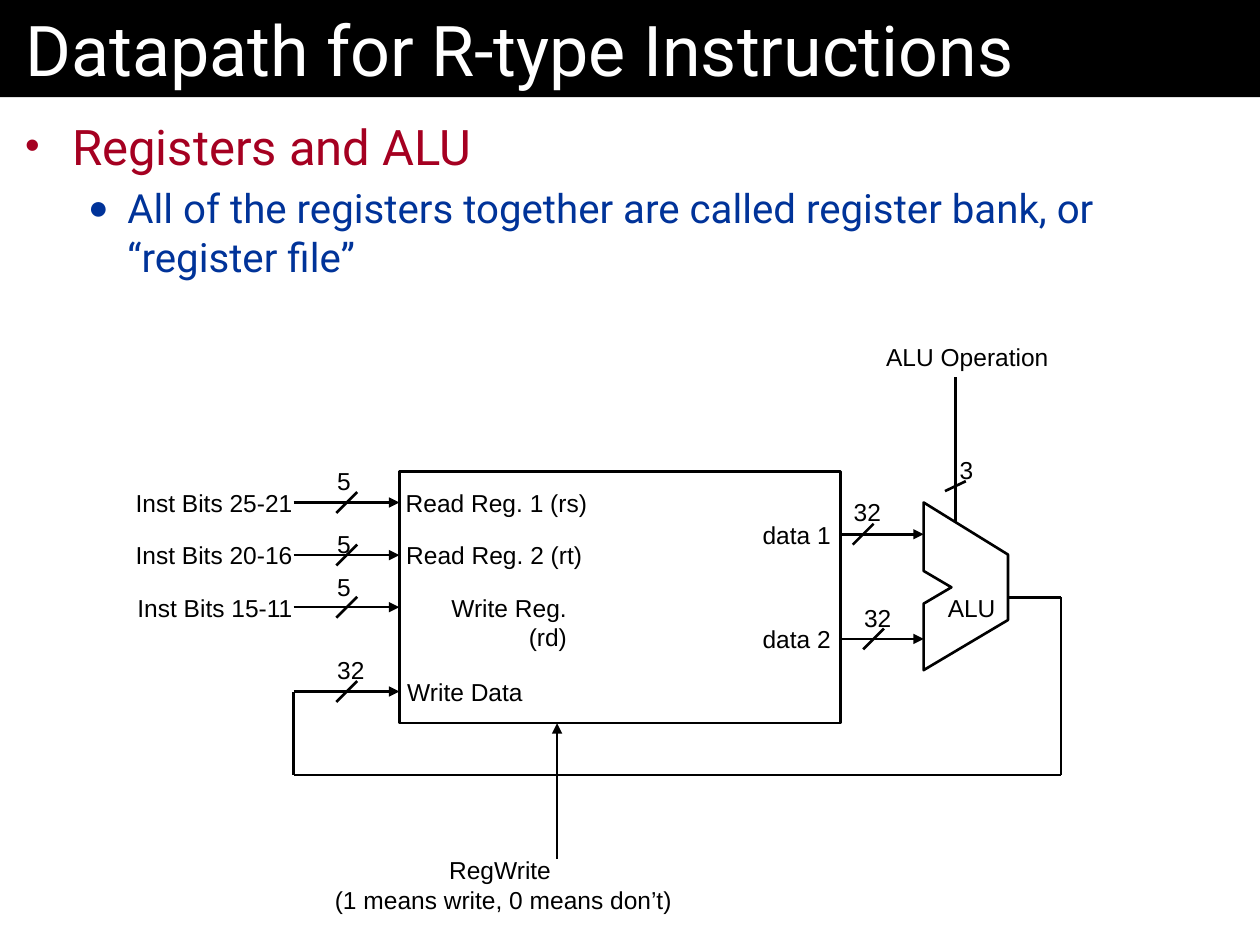
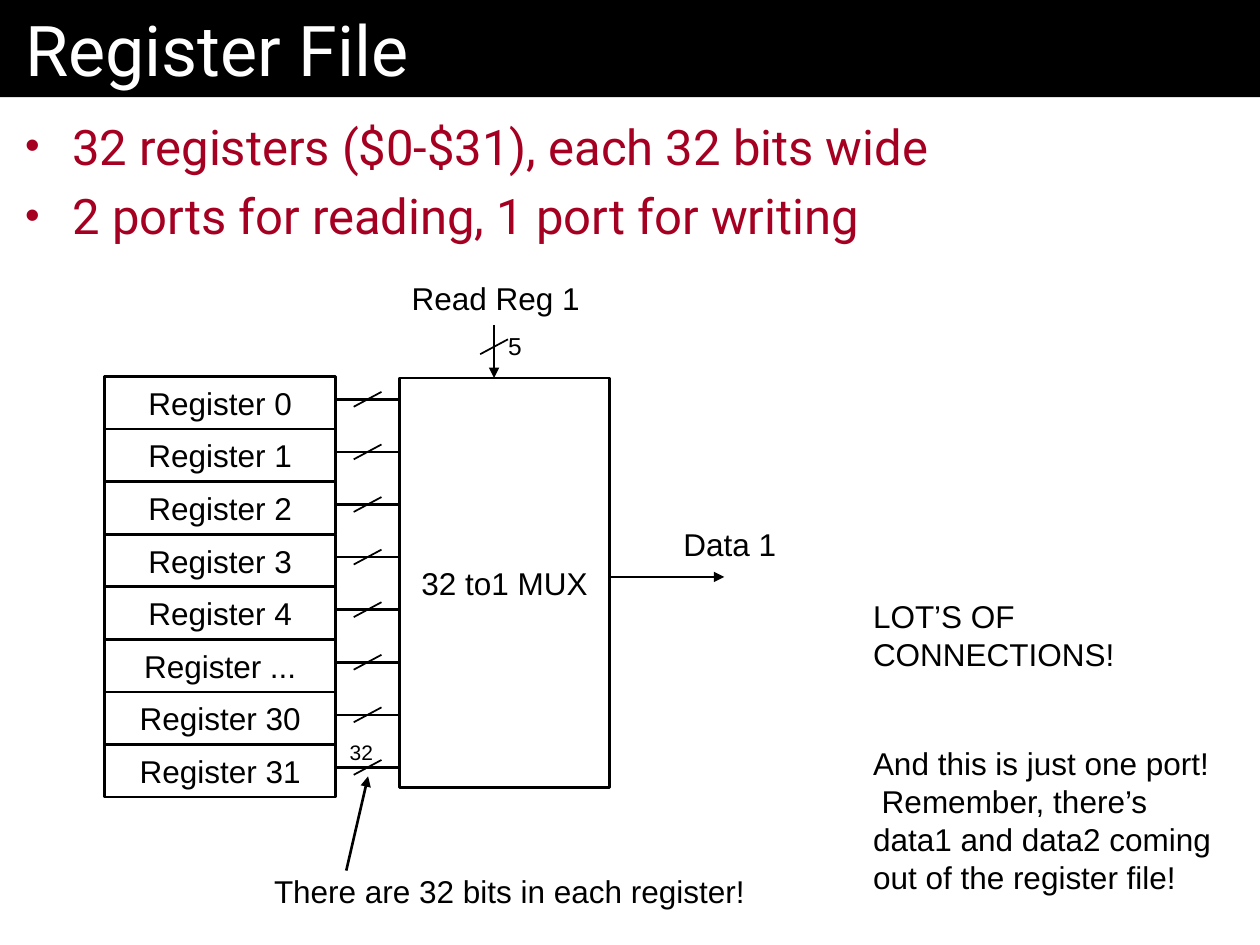
from dataclasses import dataclass

import pptx
import pptx.dml.color
import pptx.enum.shapes
import pptx.enum.text
import pptx.oxml
import pptx.oxml.ns
import pptx.shapes.autoshape
import pptx.shapes.base
import pptx.slide
import pptx.text.text
import pptx.util

Cm = pptx.util.Cm
Pt = pptx.util.Pt
ALIGN = pptx.enum.text.PP_ALIGN
ANCHOR = pptx.enum.text.MSO_ANCHOR


@dataclass(frozen=True)
class Theme:
    ink: str = "000000"
    paper: str = "FFFFFF"
    topic: str = "A50021"
    detail: str = "003399"
    heading_font: str = "Roboto"
    diagram_font: str = "Arial"
    title_size: int = 40
    topic_size: int = 28
    detail_size: int = 23
    large_size: int = 18
    label_size: int = 14
    small_size: int = 12
    line: float = 1.5
    thin_line: float = 1
    bullet_percent: int = 85


@dataclass(frozen=True)
class BulletLevel:
    symbol: str
    color: str
    size: int
    margin: float
    hanging: float
    space: float


@dataclass(frozen=True)
class Label:
    text: str
    left: float
    top: float
    width: float
    size: int


@dataclass(frozen=True)
class InputPort:
    y: float
    name: str
    name_left: float
    name_width: float
    bits: str
    bits_top: float
    bits_width: float
    origin: str = ""


@dataclass(frozen=True)
class OutputPort:
    y: float
    name: str
    slash_x: float
    bits_left: float
    bits_top: float


THEME = Theme()
TOPIC = BulletLevel("•", THEME.topic, THEME.topic_size, 0.95, 0.95, 6)
DETAIL = BulletLevel("●", THEME.detail, THEME.detail_size, 2.06, 0.79, 5)
PAGE_WIDTH, PAGE_HEIGHT, BAND_HEIGHT = 25.4, 19.05, 1.96
LABEL_RISE = 0.42  # from a wire up to the top of its label


def rgb(color: str) -> pptx.dml.color.RGBColor:
    return pptx.dml.color.RGBColor.from_string(color)


def write(paragraph: pptx.text.text._Paragraph, text: str, *, size: int,
          color: str = THEME.ink, font: str = THEME.diagram_font,
          align: ALIGN = ALIGN.LEFT, space: float = 2) -> None:
    paragraph.text = text
    paragraph.alignment = align
    paragraph.space_before = Pt(space)
    for run in paragraph.runs:
        run.font.size = Pt(size)
        run.font.name = font
        run.font.color.rgb = rgb(color)


# Shared slide frame

def add_titled_slide(deck: pptx.presentation.Presentation, heading: str) -> pptx.slide.Slide:
    slide = deck.slides.add_slide(deck.slide_layouts[5])
    band = slide.shapes.title
    band.left, band.top = Cm(0), Cm(0)
    band.width, band.height = Cm(PAGE_WIDTH), Cm(BAND_HEIGHT)
    band.fill.solid()
    band.fill.fore_color.rgb = rgb(THEME.ink)
    frame = band.text_frame
    frame.auto_size = pptx.enum.text.MSO_AUTO_SIZE.NONE
    frame.vertical_anchor = ANCHOR.BOTTOM
    frame.margin_left = frame.margin_right = Cm(0.51)
    frame.margin_top = frame.margin_bottom = Cm(0.13)
    write(frame.paragraphs[0], heading, size=THEME.title_size, color=THEME.paper,
          font=THEME.heading_font, space=0)
    return slide


def add_bullets(slide: pptx.slide.Slide, points: list[tuple[BulletLevel, str]]) -> None:
    body = slide.shapes.add_textbox(Cm(0), Cm(BAND_HEIGHT), Cm(PAGE_WIDTH),
                                    Cm(PAGE_HEIGHT - BAND_HEIGHT))
    frame = body.text_frame
    frame.word_wrap = True
    frame.margin_left = frame.margin_right = Cm(0.51)
    frame.margin_top = frame.margin_bottom = Cm(0.38)
    for index, (level, text) in enumerate(points):
        paragraph = frame.add_paragraph() if index else frame.paragraphs[0]
        write(paragraph, text, size=level.size, color=level.color,
              font=THEME.heading_font, space=level.space if index else 3)
        properties = paragraph._p.get_or_add_pPr()
        properties.set("marL", str(Cm(level.margin)))
        properties.set("indent", str(-Cm(level.hanging)))
        namespace = pptx.oxml.ns.nsdecls("a")
        for xml in (
            f'<a:buClr {namespace}><a:srgbClr val="{level.color}"/></a:buClr>',
            f'<a:buSzPct {namespace} val="{THEME.bullet_percent * 1000}"/>',
            f'<a:buFont {namespace} typeface="{THEME.diagram_font}"/>',
            f'<a:buChar {namespace} char="{level.symbol}"/>',
        ):
            properties.append(pptx.oxml.parse_xml(xml))


# Diagram parts

def outline(shape: pptx.shapes.autoshape.Shape) -> None:
    shape.shadow.inherit = False
    shape.fill.background()
    shape.line.color.rgb = rgb(THEME.ink)
    shape.line.width = Pt(THEME.line)


def add_block(slide: pptx.slide.Slide, left: float, top: float, width: float,
              height: float, text: str = "") -> None:
    block = slide.shapes.add_shape(pptx.enum.shapes.MSO_SHAPE.RECTANGLE,
                                   Cm(left), Cm(top), Cm(width), Cm(height))
    outline(block)
    if text:
        block.text_frame.word_wrap = False
        block.text_frame.vertical_anchor = ANCHOR.MIDDLE
        write(block.text_frame.paragraphs[0], text, size=THEME.large_size,
              align=ALIGN.CENTER)


def add_label(slide: pptx.slide.Slide, label: Label, align: ALIGN = ALIGN.RIGHT,
              wrap: bool = False, height: float = 0.85) -> None:
    box = slide.shapes.add_textbox(Cm(label.left), Cm(label.top),
                                   Cm(label.width), Cm(height))
    box.text_frame.word_wrap = wrap
    write(box.text_frame.paragraphs[0], label.text, size=label.size, align=align)


def add_wire(slide: pptx.slide.Slide, x1: float, y1: float, x2: float, y2: float,
             arrow: bool = False, weight: float = THEME.line) -> None:
    wire = slide.shapes.add_connector(pptx.enum.shapes.MSO_CONNECTOR.STRAIGHT,
                                      Cm(x1), Cm(y1), Cm(x2), Cm(y2))
    wire.line.color.rgb = rgb(THEME.ink)
    wire.line.width = Pt(weight)
    namespace = pptx.oxml.ns.nsdecls("a")
    if arrow:
        wire.line._get_or_add_ln().append(
            pptx.oxml.parse_xml(f'<a:tailEnd {namespace} type="triangle"/>'))
    wire._element.spPr.append(pptx.oxml.parse_xml(f"<a:effectLst {namespace}/>"))


def add_slash(slide: pptx.slide.Slide, x: float, y: float, half_width: float = 0.21,
              half_height: float = 0.21, weight: float = THEME.line) -> None:
    add_wire(slide, x + half_width, y - half_height, x - half_width, y + half_height,
             weight=weight)


def build_datapath(deck: pptx.presentation.Presentation) -> None:
    slide = add_titled_slide(deck, "Datapath for R-type Instructions")
    add_bullets(slide, [
        (TOPIC, "Registers and ALU"),
        (DETAIL, "All of the registers together are called register bank, or “register file”"),
    ])
    size = THEME.label_size
    bank_left, bank_top, bank_width, bank_height = 8.05, 9.5, 8.89, 5.08
    bank_right, bank_bottom = bank_left + bank_width, bank_top + bank_height
    source_x, alu_left, alu_right = 5.92, 18.62, 20.32

    # ALU and register bank
    alu_points = [(alu_left, 10.13), (alu_left, 11.51), (19.18, 11.84), (alu_left, 12.17),
                  (alu_left, 13.51), (alu_right, 12.5), (alu_right, 11.18)]
    corners = [(Cm(x), Cm(y)) for x, y in alu_points]
    builder = slide.shapes.build_freeform(*corners[0])
    builder.add_line_segments(corners[1:], close=True)
    outline(builder.convert_to_shape())
    add_block(slide, bank_left, bank_top, bank_width, bank_height)

    # Inputs of the bank
    write_data = InputPort(13.94, "Write Data", 7.95, 2.84, "32", 13.08, 1.07)
    for port in (
        InputPort(10.13, "Read Reg. 1 (rs)", 7.9, 4.19, "5", 9.27, 0.79, "Inst Bits 25-21"),
        InputPort(11.19, "Read Reg. 2 (rt)", 7.9, 4.09, "5", 10.54, 0.79, "Inst Bits 20-16"),
        InputPort(12.24, "Write Reg. (rd)", 7.95, 3.73, "5", 11.4, 0.79, "Inst Bits 15-11"),
        write_data,
    ):
        label_top = port.y - LABEL_RISE
        add_wire(slide, source_x, port.y, bank_left, port.y, arrow=True)
        add_slash(slide, 6.99, port.y)
        add_label(slide, Label(port.bits, 6.53, port.bits_top, port.bits_width, size))
        add_label(slide, Label(port.name, port.name_left, label_top, port.name_width, size))
        if port.origin:
            add_label(slide, Label(port.origin, 2.44, label_top, 3.71, size))

    # Outputs to the ALU
    for port in (OutputPort(10.77, "data 1", 17.4, 16.94, 9.9),
                 OutputPort(12.88, "data 2", 17.61, 17.15, 12.04)):
        add_wire(slide, bank_right, port.y, alu_left, port.y, arrow=True)
        add_slash(slide, port.slash_x, port.y)
        add_label(slide, Label(port.name, 15.1, port.y - LABEL_RISE, 1.9, size))
        add_label(slide, Label("32", port.bits_left, port.bits_top, 1.07, size))

    # Result fed back to Write Data
    feedback = [(alu_right, 12.04), (21.39, 12.04), (21.39, 15.62),
                (source_x, 15.62), (source_x, write_data.y)]
    for start, end in zip(feedback, feedback[1:]):
        add_wire(slide, *start, *end)

    # Control signals
    add_wire(slide, 19.26, 10.54, 19.26, 7.59)
    add_slash(slide, 19.26, 9.8, half_height=0.1)
    add_wire(slide, 11.23, 17.32, 11.23, bank_bottom, arrow=True)
    for label in (Label("3", 19.08, 9.04, 0.79, size),
                  Label("ALU Operation", 17.58, 6.78, 3.81, size),
                  Label("ALU ", 18.85, 11.84, 1.47, size)):
        add_label(slide, label)
    add_label(slide, Label("RegWrite \n(1 means write, 0 means don’t)", 6.48, 17.12, 7.34, size),
              align=ALIGN.CENTER, height=1.45)


def build_register_file(deck: pptx.presentation.Presentation) -> None:
    slide = add_titled_slide(deck, "Register File")
    add_bullets(slide, [
        (TOPIC, "32 registers ($0-$31), each 32 bits wide"),
        (TOPIC, "2 ports for reading, 1 port for writing"),
    ])
    size = THEME.large_size
    register_left, register_top, register_width, pitch = 2.11, 7.59, 4.66, 1.06
    mux_left, mux_top, mux_width, mux_height = 8.05, 7.62, 4.24, 8.26

    # Registers wired to the multiplexer
    for row, number in enumerate(["0", "1", "2", "3", "4", "...", "30", "31"]):
        wire_y = 8.05 + row * pitch
        add_block(slide, register_left, register_top + row * pitch, register_width, pitch,
                  f"Register {number}")
        add_wire(slide, register_left + register_width, wire_y, mux_left, wire_y)
        add_slash(slide, 7.41, wire_y, 0.28, 0.15, THEME.thin_line)
    add_block(slide, mux_left, mux_top, mux_width, mux_height, "32 to1 MUX")

    # Select input, data output and pointer to the last wire
    add_wire(slide, 9.96, 6.55, 9.96, mux_top, arrow=True)
    add_slash(slide, 9.96, 6.99, 0.28, 0.15, THEME.thin_line)
    add_wire(slide, mux_left + mux_width, 11.63, 14.6, 11.63, arrow=True)
    add_wire(slide, 6.98, 17.55, 7.42, 15.65, arrow=True)
    for label in (Label("Read Reg 1", 8.05, 5.51, 3.89, size),
                  Label("Data 1", 13.51, 10.46, 2.39, size),
                  Label("There are 32 bits in each register!", 5.16, 17.45, 10.11, size),
                  Label("5", 9.98, 6.55, 0.79, THEME.label_size),
                  Label("32", 6.78, 14.78, 0.99, THEME.small_size)):
        add_label(slide, label)

    # Remarks
    add_label(slide, Label("LOT’S OF CONNECTIONS!", 17.35, 11.91, 6.98, size),
              align=ALIGN.LEFT, wrap=True, height=1.78)
    add_label(slide, Label("And this is just one port!  Remember, there’s data1 and data2 "
                           "coming out of the register file!", 17.35, 14.88, 7.42, size),
              align=ALIGN.LEFT, wrap=True, height=3.3)


def main() -> None:
    deck = pptx.Presentation()
    deck.slide_width, deck.slide_height = Cm(PAGE_WIDTH), Cm(PAGE_HEIGHT)
    build_datapath(deck)
    build_register_file(deck)
    deck.save("out.pptx")


if __name__ == "__main__":
    main()
